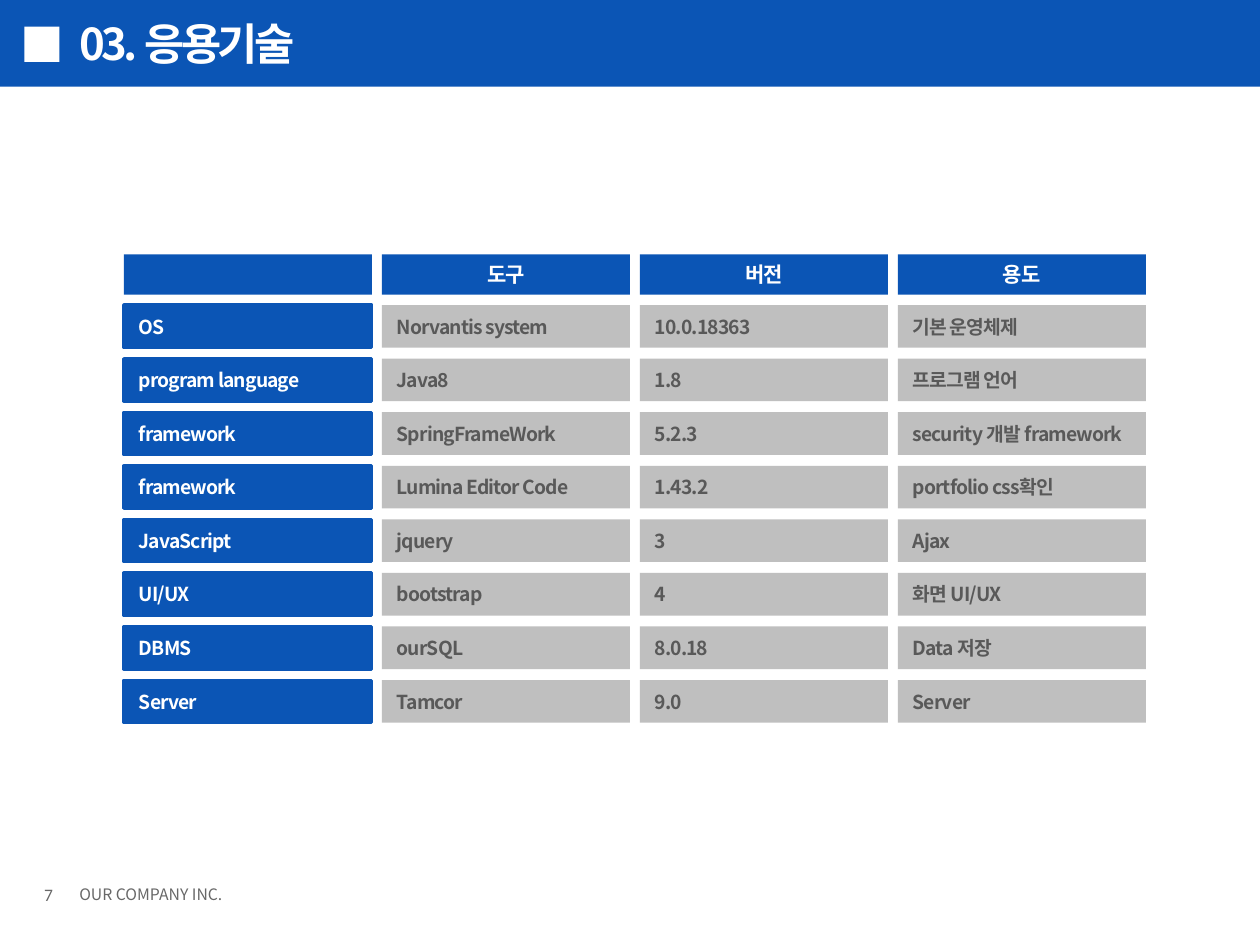
import pptx
import pptx.dml.color
import pptx.enum.shapes
import pptx.enum.text
import pptx.oxml.ns
import pptx.util
from pptx.util import Cm

BLUE = pptx.dml.color.RGBColor(0x0B, 0x55, 0xB5)
WHITE = pptx.dml.color.RGBColor(0xFF, 0xFF, 0xFF)
LIGHT_GRAY = pptx.dml.color.RGBColor(0xBF, 0xBF, 0xBF)
DARK_GRAY = pptx.dml.color.RGBColor(0x59, 0x59, 0x59)
FOOTER_GRAY = pptx.dml.color.RGBColor(0x68, 0x68, 0x68)

KOREAN_FONT = "Noto Sans CJK KR"
LEFT = pptx.enum.text.PP_ALIGN.LEFT
CENTER = pptx.enum.text.PP_ALIGN.CENTER

HEADINGS = ["", "도구", "버전", "용도"]
TECHNOLOGIES = [
    ["OS", "Norvantis system", "10.0.18363", "기본 운영체제"],
    ["program language", "Java8", "1.8", "프로그램 언어"],
    ["framework", "SpringFrameWork", "5.2.3", "security 개발 framework"],
    ["framework", "Lumina Editor Code", "1.43.2", "portfolio css확인"],
    ["JavaScript", "jquery", "3", "Ajax"],
    ["UI/UX", "bootstrap", "4", "화면 UI/UX"],
    ["DBMS", "ourSQL", "8.0.18", "Data 저장"],
    ["Server", "Tamcor", "9.0", "Server"],
]


def write(holder, text, size, color, bold=False, spacing=0, align=LEFT,
          font=KOREAN_FONT, insets=(0, 0, 0, 0)):
    frame = holder.text_frame
    frame.auto_size = pptx.enum.text.MSO_AUTO_SIZE.NONE
    frame.word_wrap = True
    frame.vertical_anchor = pptx.enum.text.MSO_ANCHOR.MIDDLE
    frame.margin_left, frame.margin_top, frame.margin_right, frame.margin_bottom = insets
    paragraph = frame.paragraphs[0]
    paragraph.alignment = align
    run = paragraph.add_run()
    run.text = text
    run.font.size = pptx.util.Pt(size)
    run.font.bold = bold
    run.font.name = font
    run.font.color.rgb = color
    properties = run.font._element
    properties.set("spc", str(round(spacing * 100)))
    east_asian = properties.makeelement(pptx.oxml.ns.qn("a:ea"), {"typeface": font})
    properties.find(pptx.oxml.ns.qn("a:latin")).addnext(east_asian)


def add_block(slide, left, top, width, height, fill, outline=None):
    block = slide.shapes.add_shape(
        pptx.enum.shapes.MSO_SHAPE.RECTANGLE, left, top, width, height)
    block.shadow.inherit = False
    block.fill.solid()
    block.fill.fore_color.rgb = fill
    if outline is None:
        block.line.fill.background()
    else:
        block.line.color.rgb = outline
        block.line.width = pptx.util.Pt(1.75)
    return block


def add_title_band(slide, left, top, width, height):
    add_block(slide, left, top, width, height, BLUE)
    add_block(slide, left + Cm(0.49), top + Cm(0.54), Cm(0.71), Cm(0.71), WHITE)
    title = slide.shapes.title
    title.left, title.top = left + Cm(1.6), top + Cm(0.34)
    title.width, title.height = width - Cm(1.9), Cm(1.06)
    write(title, "03. 응용기술", 25, WHITE, bold=True, spacing=-2)
    slide.shapes._spTree.append(title._element)


def add_technology_grid(slide, left, top, width):
    column_gap, heading_height = Cm(0.2), Cm(0.81)
    row_height, row_pitch, first_row = Cm(0.86), Cm(1.08), Cm(1.02)
    column_width = (width - column_gap * (len(HEADINGS) - 1)) // len(HEADINGS)
    column_lefts = [left + i * (column_width + column_gap) for i in range(len(HEADINGS))]
    cell_insets = (Cm(0.3), Cm(0.05), 0, Cm(0.05))

    for column_left, heading in zip(column_lefts, HEADINGS):
        block = add_block(slide, column_left, top, column_width, heading_height, BLUE)
        if heading:
            write(block, heading, 12, WHITE, bold=True, spacing=-0.5, align=CENTER)

    for row, technology in enumerate(TECHNOLOGIES):
        row_top = top + first_row + row * row_pitch
        for column, (column_left, entry) in enumerate(zip(column_lefts, technology)):
            is_category = column == 0
            block = add_block(slide, column_left, row_top, column_width, row_height,
                              BLUE if is_category else LIGHT_GRAY,
                              BLUE if is_category else None)
            write(block, entry, 11, WHITE if is_category else DARK_GRAY,
                  bold=True, spacing=-0.5, insets=cell_insets)


def add_footer(slide, left, top, height):
    page_number = slide.shapes.add_textbox(left, top, Cm(0.6), height)
    write(page_number, "7", 10, FOOTER_GRAY, font="Calibri")
    company = slide.shapes.add_textbox(left + Cm(0.71), top, Cm(4.55), height)
    write(company, "OUR COMPANY INC.", 9, FOOTER_GRAY)


def main():
    presentation = pptx.Presentation()
    presentation.slide_width, presentation.slide_height = Cm(25.4), Cm(19.05)
    slide = presentation.slides.add_slide(presentation.slide_layouts.get_by_name("Title Only"))
    add_title_band(slide, 0, 0, presentation.slide_width, Cm(1.75))
    add_technology_grid(slide, Cm(2.5), Cm(5.13), Cm(20.6))
    add_footer(slide, Cm(0.89), Cm(17.72), Cm(0.62))
    presentation.save("out.pptx")


if __name__ == "__main__":
    main()
